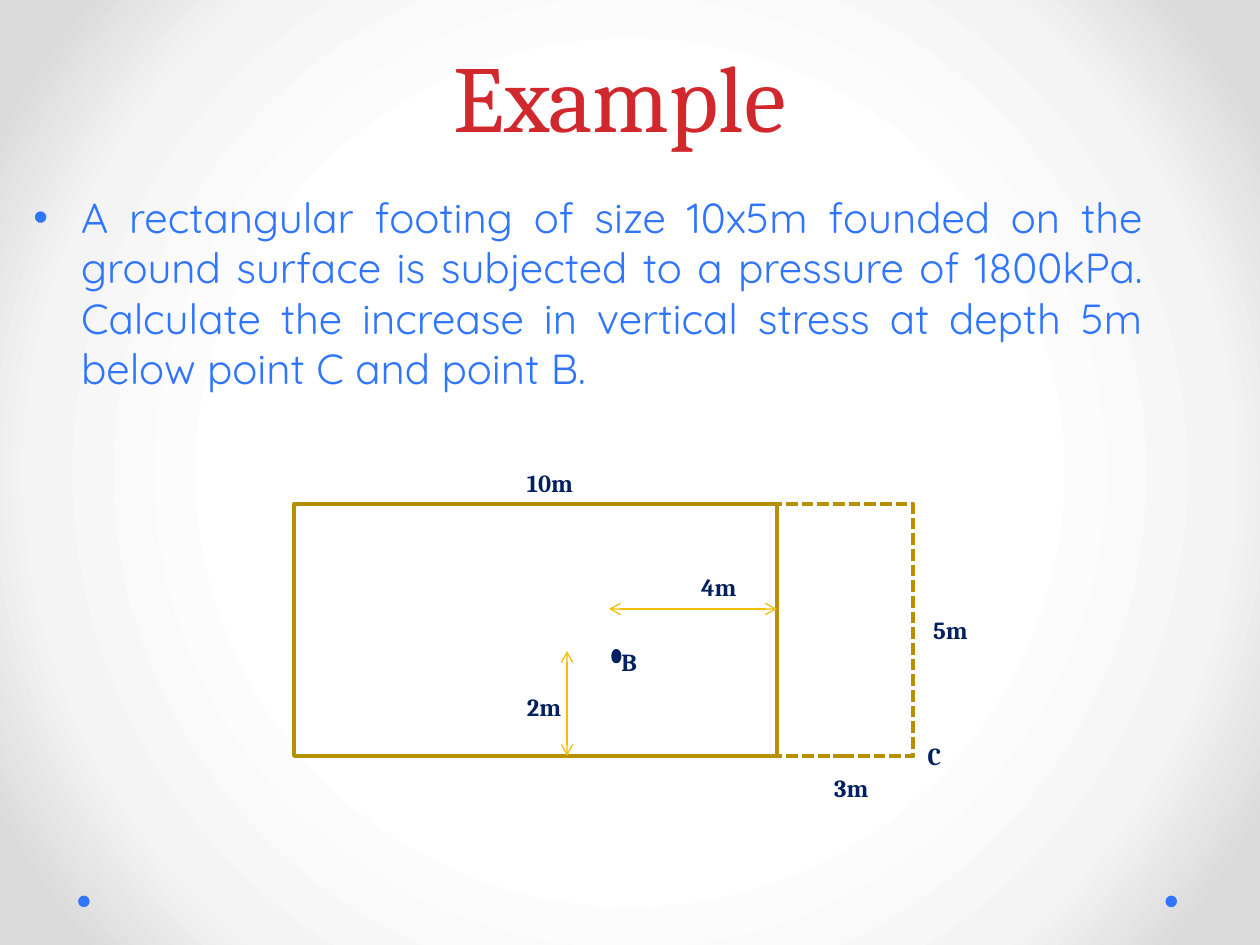
from lxml.etree import SubElement
from pptx import Presentation
from pptx.dml.color import RGBColor
from pptx.enum.dml import MSO_LINE
from pptx.enum.shapes import MSO_CONNECTOR, MSO_SHAPE
from pptx.enum.text import MSO_ANCHOR, PP_ALIGN
from pptx.oxml.ns import qn
from pptx.util import Inches, Pt

NAVY, GOLD, YELLOW, BLUE, RED = "002060", "B59001", "F1BE00", "3075FF", "D1282E"


def tint(code):
    return RGBColor.from_string(code)


def grid(*cells):
    return [Inches(cell / 6) for cell in cells]


def write(frame, text, font="Cambria", size=14, color=NAVY, bold=False,
          align=PP_ALIGN.LEFT, anchor=MSO_ANCHOR.TOP, space=None, bullet=None):
    frame.word_wrap = True
    frame.vertical_anchor = anchor
    para = frame.paragraphs[0]
    para.alignment = align
    if space:
        para.line_spacing = space
    if bullet:
        props = para._p.get_or_add_pPr()
        props.set("marL", str(Inches(0.38)))
        props.set("indent", str(Inches(-0.38)))
        SubElement(props, qn("a:buFont"), typeface="Arial")
        SubElement(props, qn("a:buChar"), char=bullet)
    run = para.add_run()
    run.text = text
    run.font.name, run.font.size, run.font.bold = font, Pt(size), bold
    run.font.color.rgb = tint(color)


class Board:
    def __init__(self, deck):
        self.slide = deck.slides.add_slide(deck.slide_layouts[6])
        self.shapes = self.slide.shapes

    def back(self, stops):
        fill = self.slide.background.fill
        fill.gradient()
        grad = self.slide.element.find(".//" + qn("a:gradFill"))
        for part in list(grad):
            grad.remove(part)
        group = SubElement(grad, qn("a:gsLst"))
        for place, code in stops:
            stop = SubElement(group, qn("a:gs"), pos=str(place * 1000))
            SubElement(stop, qn("a:srgbClr"), val=code)
        way = SubElement(grad, qn("a:path"), path="circle")
        SubElement(way, qn("a:fillToRect"), l="50000", t="50000", r="50000", b="50000")

    def text(self, box, words, **style):
        write(self.shapes.add_textbox(*grid(*box)).text_frame, words, **style)

    def shape(self, kind, box, fill=None, line=None, dash=None):
        shape = self.shapes.add_shape(kind, *grid(*box))
        shape.shadow.inherit = False
        if fill:
            shape.fill.solid()
            shape.fill.fore_color.rgb = tint(fill)
        else:
            shape.fill.background()
        if line:
            shape.line.color.rgb = tint(line)
            shape.line.width = Pt(2.25)
            shape.line.dash_style = dash
        else:
            shape.line.fill.background()

    def arrow(self, ends):
        link = self.shapes.add_connector(MSO_CONNECTOR.STRAIGHT, *grid(*ends))
        link.line.color.rgb = tint(YELLOW)
        link.line.width = Pt(0.75)
        for end in ("a:headEnd", "a:tailEnd"):
            SubElement(link.line._get_or_add_ln(), qn(end), type="arrow")
        SubElement(link._element.spPr, qn("a:effectLst"))


def main():
    deck = Presentation()
    deck.slide_width, deck.slide_height = Inches(10), Inches(7.5)
    board = Board(deck)
    board.back([(50, "FFFFFF"), (76, "F4F4F4"), (92, "DADADA")])
    for left in (55.5, 3.72):
        board.shape(MSO_SHAPE.OVAL, (left, 42.65, 0.55, 0.55), fill=BLUE)

    board.text((3, 0, 54, 7.5), "Example ", size=54, color=RED, space=Pt(58),
               align=PP_ALIGN.CENTER, anchor=MSO_ANCHOR.BOTTOM)
    board.text((1, 8.82, 54, 29.7),
               "A rectangular footing of size 10x5m founded on the ground surface is "
               "subjected to a pressure of 1800kPa. Calculate the increase in vertical "
               "stress at depth 5m below point C and point B.",
               font="Quicksand", size=24, color=BLUE, align=PP_ALIGN.JUSTIFY, bullet="•")

    board.shape(MSO_SHAPE.OVAL, (29.2, 31, 0.3, 0.5), fill=NAVY, line=NAVY)
    board.shape(MSO_SHAPE.RECTANGLE, (14, 24, 23, 12), line=GOLD)
    board.shape(MSO_SHAPE.RECTANGLE, (37, 24, 6.5, 12), line=GOLD, dash=MSO_LINE.SQUARE_DOT)
    for ends in ((29, 29, 37, 29), (27, 31, 27, 36)):
        board.arrow(ends)

    marks = [("4m", 32.8, 26.95, 3.2), ("C", 43.58, 35, 2.2), ("B", 29, 30.5, 2.2),
             ("2m", 24.5, 32.68, 3), ("3m", 39.13, 36.5, 2.9), ("5m", 43.85, 29, 3.2),
             ("10m", 24.5, 21.97, 4.5)]
    for words, left, top, width in marks:
        board.text((left, top, width, 2.04), words, bold=True)

    deck.save("out.pptx")


if __name__ == "__main__":
    main()
